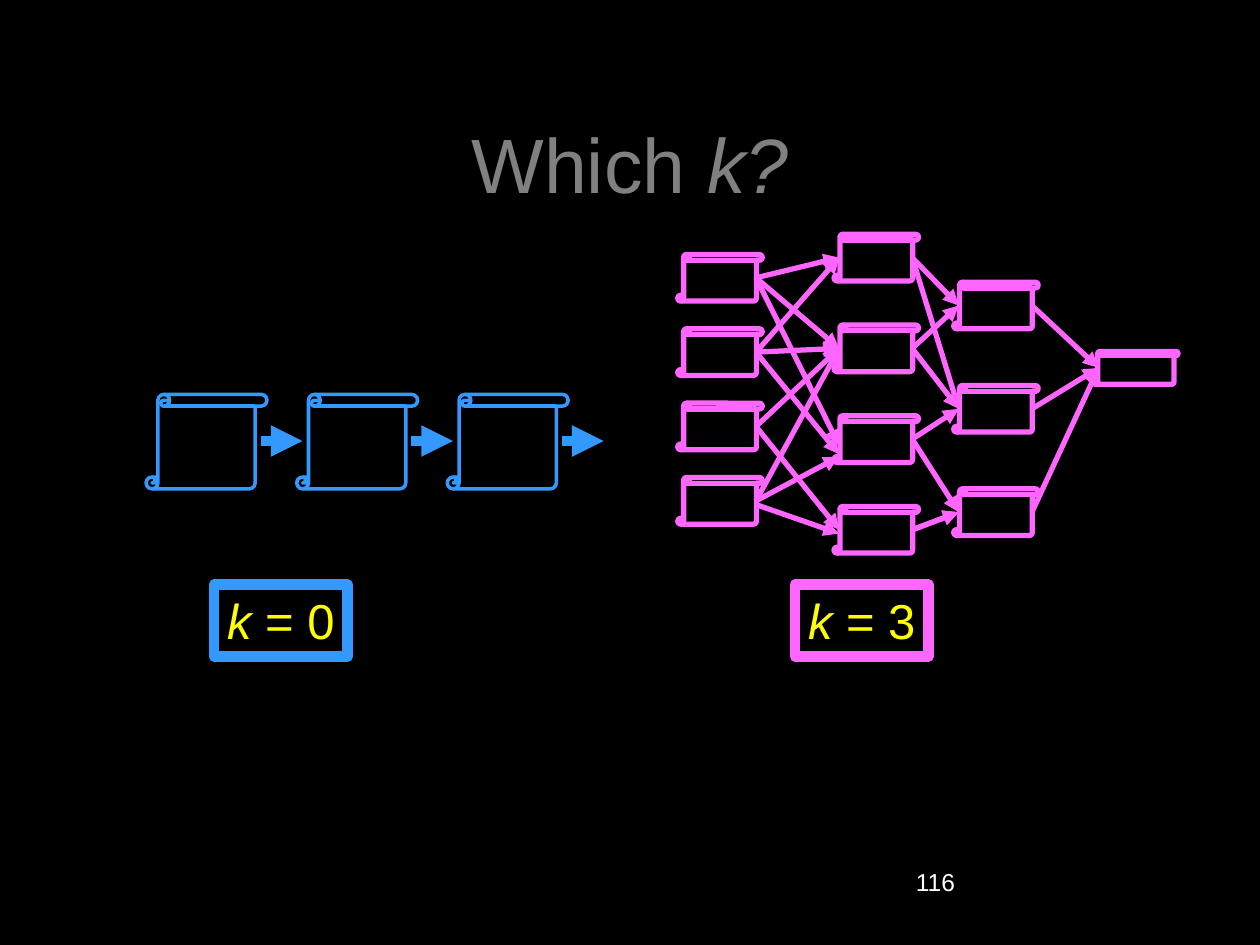
from dataclasses import dataclass

from pptx import Presentation
from pptx.dml.color import RGBColor
from pptx.enum.shapes import MSO_CONNECTOR, MSO_SHAPE
from pptx.enum.text import MSO_ANCHOR, PP_ALIGN
from pptx.oxml.ns import qn
from pptx.util import Inches, Pt
from lxml.etree import SubElement

BLACK = RGBColor(0x00, 0x00, 0x00)
WHITE = RGBColor(0xFF, 0xFF, 0xFF)
GREY = RGBColor(0x80, 0x80, 0x80)
YELLOW = RGBColor(0xFF, 0xFF, 0x00)
BLUE = RGBColor(0x33, 0x99, 0xFF)
PINK = RGBColor(0xFF, 0x66, 0xFF)
FONT = "Arial"


@dataclass(frozen=True)
class Scroll:
    left: float
    top: float
    width: float = 0.67
    height: float = 0.37

    @property
    def middle(self) -> float:
        return self.top + self.height / 2


@dataclass(frozen=True)
class Edge:
    source: Scroll
    target: Scroll
    start_shift: float = 0
    end_shift: float = 0


def add_box(shapes, preset, at: tuple, colour: RGBColor, weight: float):
    box = shapes.add_shape(preset, *map(Inches, at))
    box.shadow.inherit = False
    box.fill.solid()
    box.fill.fore_color.rgb = BLACK
    box.line.color.rgb = colour
    box.line.width = Pt(weight)
    return box


def add_scroll(shapes, scroll: Scroll, colour: RGBColor, weight: float) -> None:
    at = (scroll.left, scroll.top, scroll.width, scroll.height)
    add_box(shapes, MSO_SHAPE.VERTICAL_SCROLL, at, colour, weight)


def add_arrow(shapes, start: tuple, end: tuple, colour: RGBColor, weight: float) -> None:
    arrow = shapes.add_connector(MSO_CONNECTOR.STRAIGHT, *map(Inches, start + end))
    arrow.line.color.rgb = colour
    arrow.line.width = Pt(weight)
    SubElement(arrow.line._get_or_add_ln(), qn("a:tailEnd"), type="triangle")
    SubElement(arrow._element.spPr, qn("a:effectLst"))


def add_edge(shapes, edge: Edge) -> None:
    start = (edge.source.left + 0.62, edge.source.middle + edge.start_shift)
    end = (edge.target.left + 0.04, edge.target.middle + edge.end_shift)
    add_arrow(shapes, start, end, PINK, 3)


def write_runs(paragraph, parts: list, size: float, colour: RGBColor) -> None:
    """Write (text, italic) parts as runs of one paragraph."""
    for text, italic in parts:
        run = paragraph.add_run()
        run.text = text
        run.font.name = FONT
        run.font.size = Pt(size)
        run.font.italic = italic
        run.font.color.rgb = colour


def add_k_label(shapes, left: float, value: int, colour: RGBColor) -> None:
    label = add_box(shapes, MSO_SHAPE.RECTANGLE, (left, 4.64, 1.06, 0.57), colour, 6)
    label.text_frame.word_wrap = False
    label.text_frame.vertical_anchor = MSO_ANCHOR.TOP
    paragraph = label.text_frame.paragraphs[0]
    paragraph.alignment = PP_ALIGN.CENTER
    write_runs(paragraph, [("k", True), (f" = {value}", False)], 28, YELLOW)


def add_chain(shapes) -> None:
    """Three scrolls in a row, each followed by an arrow."""
    scrolls = [Scroll(1.16 + 1.195 * i, 3.13, 0.96, 0.75) for i in range(3)]
    for scroll in scrolls:
        add_scroll(shapes, scroll, BLUE, 2)
    for scroll in scrolls:
        start, end = (scroll.left + 0.91, 3.5), (scroll.left + 1.24, 3.5)
        add_arrow(shapes, start, end, BLUE, 6)


def add_network(shapes) -> None:
    """Four columns of scrolls joined by arrows."""
    first = [Scroll(5.38, 2.02 + 0.59 * i) for i in range(4)]
    second = [Scroll(6.62, 1.86 + 0.72 * i) for i in range(4)]
    third = [Scroll(7.57, 2.24 + 0.82 * i) for i in range(3)]
    last = Scroll(8.68, 2.79, height=0.26)

    edges = [
        Edge(first[0], second[0]), Edge(first[0], second[1]),
        Edge(first[0], second[2], end_shift=0.05),
        Edge(first[1], second[0]), Edge(first[1], second[1]),
        Edge(first[1], second[2], end_shift=0.12),
        Edge(first[2], second[1]), Edge(first[2], second[3]),
        Edge(first[3], second[1]),
        Edge(first[3], second[2], end_shift=0.14),
        Edge(first[3], second[3], start_shift=0.03, end_shift=0.03),
    ]
    for i, scroll in enumerate(second):
        edges += [Edge(scroll, third[i // 2]), Edge(scroll, third[i // 2 + 1])
                  ] if i in (0, 2) else [Edge(scroll, third[i - 1]), Edge(scroll, third[(i + 1) // 2])]
    edges += [Edge(scroll, last) for scroll in third]

    for scroll in [last, *third, *second[1:3], *first]:
        add_scroll(shapes, scroll, PINK, 3)
    for edge in edges:
        add_edge(shapes, edge)
    # The outer scrolls of the second column lie over the arrows
    for scroll in (second[3], second[0]):
        add_scroll(shapes, scroll, PINK, 3)


def main() -> None:
    prs = Presentation()
    prs.slide_width, prs.slide_height = Inches(10), Inches(7.5)
    slide = prs.slides.add_slide(prs.slide_layouts[5])
    slide.background.fill.solid()
    slide.background.fill.fore_color.rgb = BLACK

    # Title
    title = slide.shapes.title
    title.left, title.top = Inches(0.75), Inches(0.67)
    title.width, title.height = Inches(8.5), Inches(1.25)
    title.text_frame.vertical_anchor = MSO_ANCHOR.MIDDLE
    heading = title.text_frame.paragraphs[0]
    heading.alignment = PP_ALIGN.CENTER
    write_runs(heading, [("Which ", False), ("k?", True)], 44, GREY)

    # Page number
    page_number = slide.shapes.add_textbox(
        Inches(7.17), Inches(6.83), Inches(2.08), Inches(0.5))
    page_number.text_frame.word_wrap = True
    write_runs(page_number.text_frame.paragraphs[0], [("116", False)], 14, WHITE)

    # Labels and diagrams
    add_k_label(slide.shapes, 6.31, 3, PINK)
    add_k_label(slide.shapes, 1.7, 0, BLUE)
    add_chain(slide.shapes.add_group_shape().shapes)
    add_network(slide.shapes.add_group_shape().shapes)

    prs.save("out.pptx")


if __name__ == "__main__":
    main()
